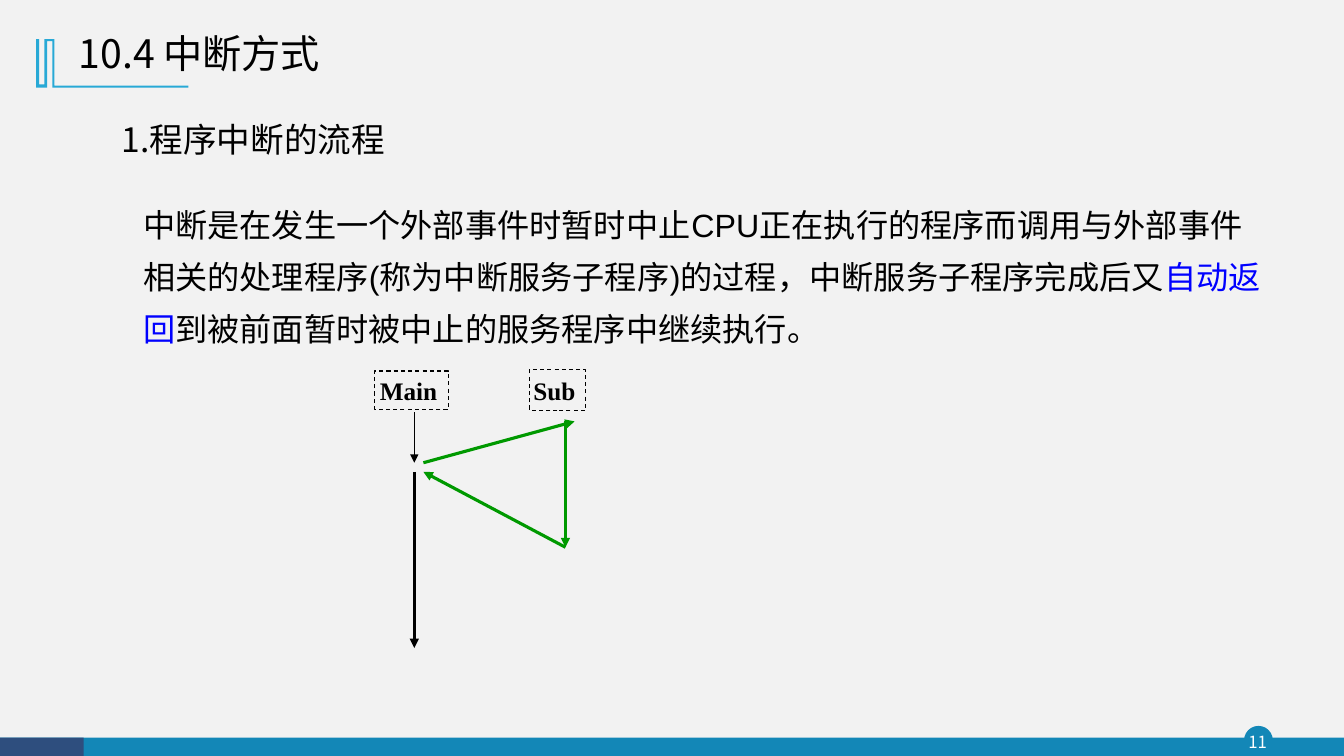
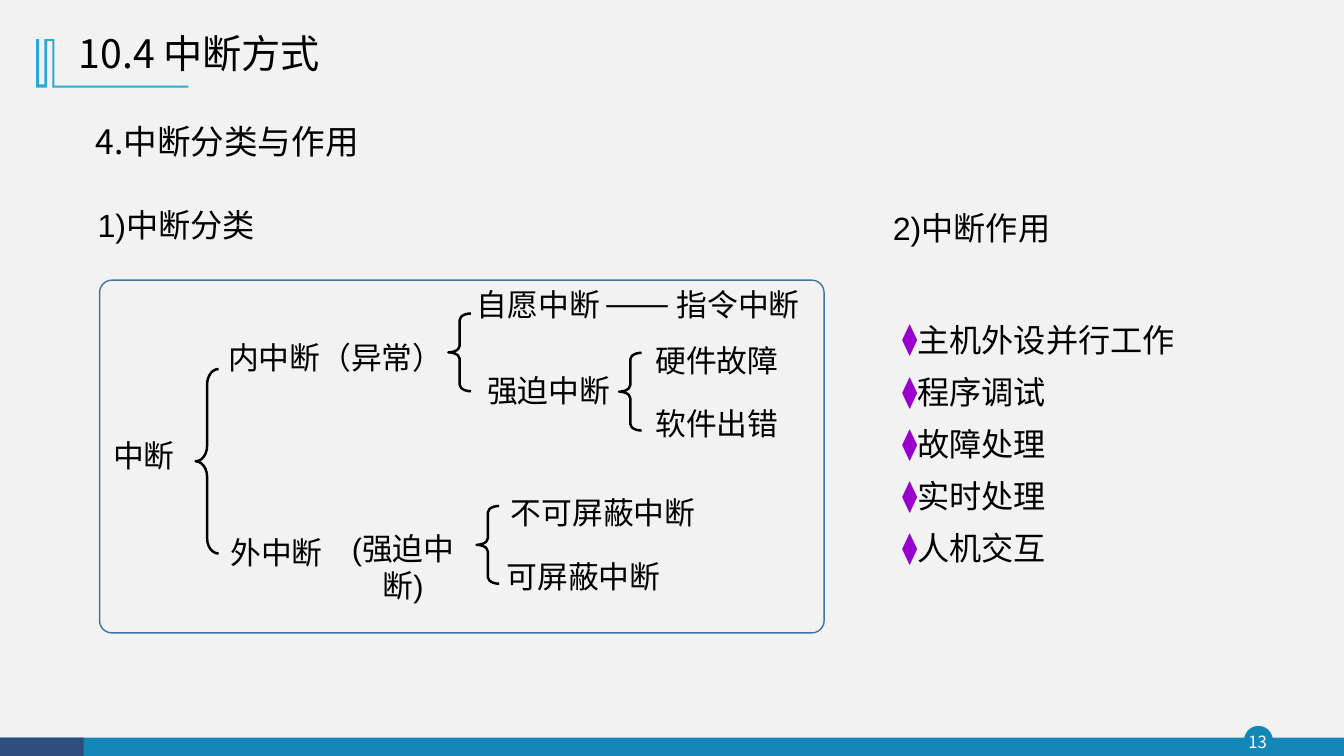
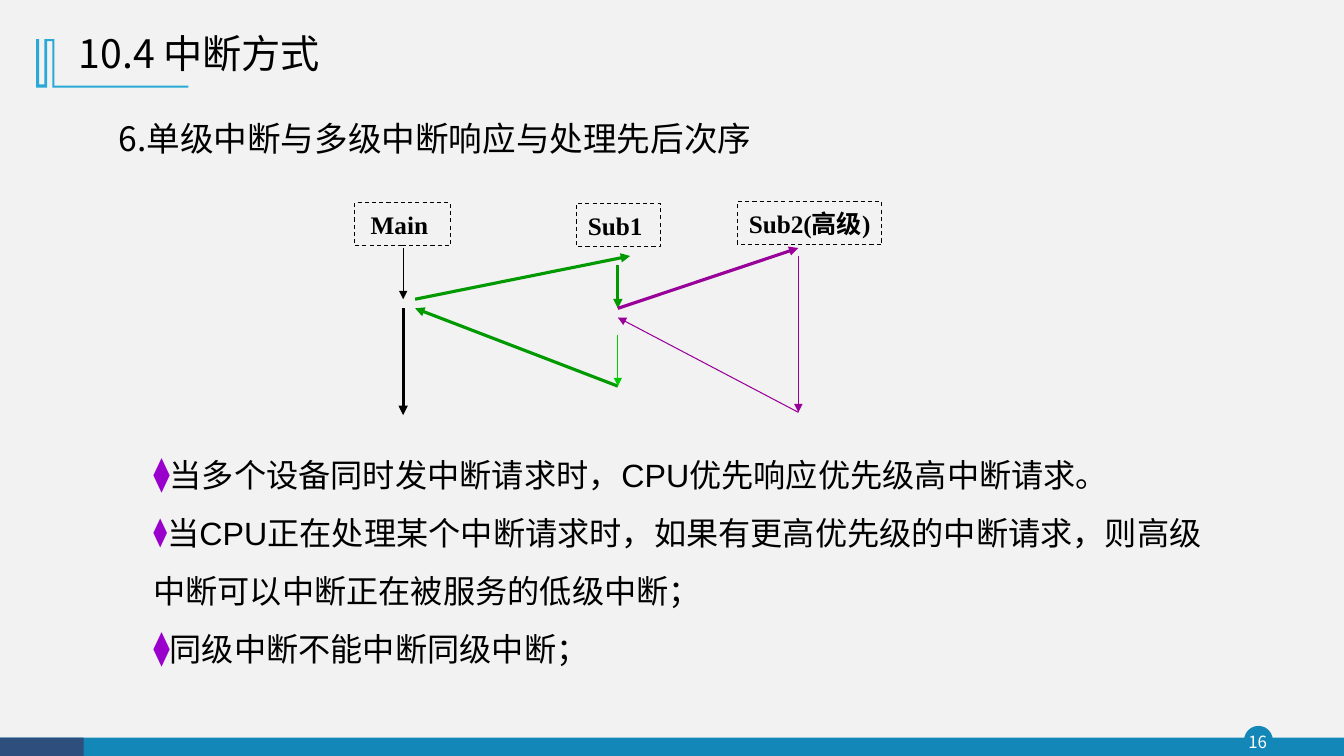
from dataclasses import dataclass
from typing import NamedTuple, Optional

from pptx import Presentation
from pptx.dml.color import RGBColor
from pptx.enum.dml import MSO_LINE
from pptx.enum.shapes import MSO_CONNECTOR, MSO_SHAPE
from pptx.enum.text import MSO_ANCHOR, MSO_AUTO_SIZE, PP_ALIGN
from pptx.oxml.ns import qn
from pptx.oxml.xmlchemy import OxmlElement
from pptx.util import Cm, Pt

RECT, OVAL = MSO_SHAPE.RECTANGLE, MSO_SHAPE.OVAL
ROUNDED, BRACE = MSO_SHAPE.ROUNDED_RECTANGLE, MSO_SHAPE.LEFT_BRACE
STRAIGHT, DASH = MSO_CONNECTOR.STRAIGHT, MSO_LINE.DASH
LEFT, CENTER = PP_ALIGN.LEFT, PP_ALIGN.CENTER
TOP, MIDDLE = MSO_ANCHOR.TOP, MSO_ANCHOR.MIDDLE


@dataclass(frozen=True)
class Theme:
    background: str = "F2F2F2"
    band: str = "1387B7"
    band_dark: str = "2E4E7E"
    title_mark: str = "28A9D6"
    panel: str = "43739E"
    text: str = "000000"
    page: str = "FFFFFF"
    keyword: str = "0000FF"
    bullet: str = "9900CC"
    sub: str = "009900"
    sub_rest: str = "00CC00"
    sub2: str = "990099"
    sans: str = "Arial"
    serif: str = "Times New Roman"
    cjk: str = "Noto Sans CJK SC"
    heading_font: str = "Noto Sans CJK JP"
    title_size: int = 28
    heading_size: int = 24
    body_size: int = 23
    label_size: int = 22
    box_size: int = 18
    page_size: int = 12
    thin: float = 0.75
    brace: float = 1.75
    thick: float = 2.25
    line_height: float = 1.2


T = Theme()


class Box(NamedTuple):
    left: float
    top: float
    width: float
    height: float


class Span(NamedTuple):
    text: str
    color: str = T.text


class Item(NamedTuple):
    spans: list[Span]
    bullet_pct: Optional[int] = None


@dataclass(frozen=True)
class Label:
    text: str
    left: float
    top: float
    width: float
    wrap: bool = False


@dataclass(frozen=True)
class Routine:
    name: str
    box: Box


@dataclass(frozen=True)
class Arrow:
    x1: float
    y1: float
    x2: float
    y2: float
    color: str = T.text
    width: float = T.thick


TITLE_BOX = Box(1.73, 0.53, 11.4, 1.73)
MARK = [(1.37, 0.99), (1.37, 2.16), (4.75, 2.16), (4.75, 2.21), (1.32, 2.21),
        (1.32, 1.04), (1.19, 1.04), (1.19, 2.21), (0.91, 2.21), (0.91, 0.99),
        (0.99, 0.99), (0.99, 2.13), (1.12, 2.13), (1.12, 0.99)]


def rgb(color: str) -> RGBColor:
    return RGBColor.from_string(color)


def cm(box: Box) -> list[Cm]:
    return [Cm(v) for v in box]


def place(sp, box: Box) -> None:
    sp.left, sp.top, sp.width, sp.height = cm(box)


def add_run(p, text: str, size: float, font: str, color: str = T.text, bold: bool = False) -> None:
    r = p.add_run()
    r.text = text
    r.font.size = Pt(size)
    r.font.bold = bold
    r.font.color.rgb = rgb(color)
    r.font.name = font
    ea = OxmlElement("a:ea")
    ea.set("typeface", T.cjk if font in (T.sans, T.serif) else font)
    r.font.name = font
    r._r.get_or_add_rPr().find(qn("a:latin")).addnext(ea)


def add_text(s, text: str, box: Box, size: float, font: str, color: str = T.text, align=LEFT,
             anchor=TOP, inset: bool = True, wrap: bool = True) -> None:
    tf = s.shapes.add_textbox(*cm(box)).text_frame
    tf.word_wrap = wrap
    tf.vertical_anchor = anchor
    if not inset:
        tf.margin_left = tf.margin_right = tf.margin_top = tf.margin_bottom = 0
    p = tf.paragraphs[0]
    p.alignment = align
    p.line_spacing = Pt(size * T.line_height)
    add_run(p, text, size, font, color)


def add_shape(s, kind, box: Box, fill: Optional[str] = None, line: Optional[str] = None,
              width: float = 1):
    sp = s.shapes.add_shape(kind, *cm(box))
    paint(sp, fill, line, width)
    return sp


def paint(sp, fill: Optional[str], line: Optional[str] = None, width: float = 1) -> None:
    sp.shadow.inherit = False
    if fill:
        sp.fill.solid()
        sp.fill.fore_color.rgb = rgb(fill)
    else:
        sp.fill.background()
    if line:
        sp.line.color.rgb = rgb(line)
        sp.line.width = Pt(width)
    else:
        sp.line.fill.background()


def add_routine(s, routine: Routine) -> None:
    sp = add_shape(s, RECT, routine.box, line=T.text, width=T.thin)
    sp.line.dash_style = DASH
    tf = sp.text_frame
    tf.word_wrap = False
    tf.vertical_anchor = MIDDLE
    p = tf.paragraphs[0]
    p.alignment = CENTER
    add_run(p, routine.name, T.box_size, T.serif, bold=True)


def add_arrow(s, arrow: Arrow) -> None:
    c = s.shapes.add_connector(STRAIGHT, Cm(arrow.x1), Cm(arrow.y1), Cm(arrow.x2), Cm(arrow.y2))
    c.line.color.rgb = rgb(arrow.color)
    c.line.width = Pt(arrow.width)
    tail = OxmlElement("a:tailEnd")
    tail.set("type", "triangle")
    props = c.element.spPr
    props.find(qn("a:ln")).append(tail)
    props.append(OxmlElement("a:effectLst"))


def add_flow(s, routines: list[Routine], arrows: list[Arrow]) -> None:
    for routine in routines:
        add_routine(s, routine)
    for arrow in arrows:
        add_arrow(s, arrow)


def set_bullet(p, pct: Optional[int]) -> None:
    props = p._p.get_or_add_pPr()
    props.set("marL", "0")
    props.set("indent", "0")
    if pct is None:
        props.append(OxmlElement("a:buNone"))
        return
    color = OxmlElement("a:buClr")
    value = OxmlElement("a:srgbClr")
    value.set("val", T.bullet)
    color.append(value)
    props.append(color)
    for tag, name, setting in (("a:buSzPct", "val", str(pct * 1000)),
                               ("a:buFont", "typeface", T.sans), ("a:buChar", "char", "⧫")):
        el = OxmlElement(tag)
        el.set(name, setting)
        props.append(el)


def fill_body(s, box: Box, items: list[Item], spacing: float) -> None:
    sp = s.placeholders[1]
    place(sp, box)
    tf = sp.text_frame
    tf.auto_size = MSO_AUTO_SIZE.NONE
    tf.word_wrap = True
    for i, item in enumerate(items):
        p = tf.add_paragraph() if i else tf.paragraphs[0]
        set_bullet(p, item.bullet_pct)
        p.alignment = LEFT
        p.space_before = Pt(0)
        p.line_spacing = Pt(round(T.body_size * T.line_height * spacing, 1))
        for span in item.spans:
            add_run(p, span.text, T.body_size, T.sans, span.color)


def decorate_layout(s) -> None:
    builder = s.shapes.build_freeform(Cm(MARK[0][0]), Cm(MARK[0][1]))
    builder.add_line_segments([(Cm(x), Cm(y)) for x, y in MARK[1:]], close=True)
    mark = builder.convert_to_shape()
    paint(mark, T.title_mark)
    frame = [add_shape(s, OVAL, Box(31.37, 18.31, 0.69, 0.69), T.band, T.band),
             add_shape(s, RECT, Box(0, 18.59, 33.87, 0.46), T.band),
             add_shape(s, RECT, Box(0, 18.59, 2.11, 0.46), T.band_dark), mark]
    for sp in frame:
        s.slide_layout.shapes.element.append(sp.element)


def new_slide(prs, page: int, heading: str, heading_box: Box):
    s = prs.slides.add_slide(prs.slide_layouts[1])
    place(s.shapes.title, TITLE_BOX)
    tf = s.shapes.title.text_frame
    tf.auto_size = MSO_AUTO_SIZE.NONE
    tf.vertical_anchor = MIDDLE
    p = tf.paragraphs[0]
    p.alignment = LEFT
    p.line_spacing = 0.9
    add_run(p, "10.4 中断方式", T.title_size, T.cjk)
    add_text(s, heading, heading_box, T.heading_size, T.heading_font)
    add_text(s, str(page), Box(31.29, 18.31, 0.81, 0.79), T.page_size, T.cjk, T.page,
             CENTER, MIDDLE, inset=False)
    return s


def interrupt_flow(prs) -> None:
    s = new_slide(prs, 11, "1.程序中断的流程", Box(2.82, 2.87, 9.65, 1.27))
    decorate_layout(s)
    fill_body(s, Box(3.35, 4.7, 28.93, 4.29), [Item([
        Span("中断是在发生一个外部事件时暂时中止CPU正在执行的程序而调用与外部事件相关的处理程序"
             "(称为中断服务子程序)的过程，中断服务子程序完成后又"),
        Span("自动返回", T.keyword),
        Span("到被前面暂时被中止的服务程序中继续执行。")])], 1.35)
    main_x, sub_x = 10.44, 14.25
    add_flow(s, [Routine("Main ", Box(9.45, 9.35, 1.85, 0.97)),
                 Routine("Sub ", Box(13.34, 9.32, 1.42, 1.02))],
             [Arrow(main_x, 10.39, main_x, 11.66, width=T.thin),
              Arrow(10.67, 11.66, 14.48, 10.62, T.sub),
              Arrow(sub_x, 10.62, sub_x, 13.79, T.sub),
              Arrow(sub_x, 13.79, 10.67, 11.89, T.sub),
              Arrow(main_x, 11.89, main_x, 16.33)])


def interrupt_classes(prs) -> None:
    s = new_slide(prs, 13, "4.中断分类与作用", Box(2.16, 2.92, 9.75, 1.27))
    for text, left, top in (("1)中断分类", 2.21, 5.05), ("2)中断作用", 22.25, 5.13)):
        add_text(s, text, Box(left, top, 5.18, 1.24), T.body_size, T.sans)
    panel = add_shape(s, ROUNDED, Box(2.51, 7.06, 18.26, 8.89), line=T.panel)
    panel.adjustments[0] = 0.035
    for box, curl in ((Box(4.93, 9.3, 0.58, 4.65), 0.67), (Box(11.3, 7.9, 0.57, 1.96), 0.29),
                      (Box(15.6, 8.89, 0.57, 1.96), 0.29), (Box(12.01, 12.75, 0.57, 1.96), 0.29)):
        brace = add_shape(s, BRACE, box, line=T.text, width=T.brace)
        brace.adjustments[0] = curl
    for label in (Label("中断", 2.84, 11, 1.57),
                  Label("内中断（异常）", 5.72, 8.53, 5.49),
                  Label("外中断", 5.79, 13.46, 2.36),
                  Label("(强迫中断)", 8.41, 13.36, 3.5, wrap=True),
                  Label("自愿中断", 12.01, 7.19, 3.12),
                  Label("——", 15.27, 7.14, 1.57),
                  Label("指令中断", 17.04, 7.19, 3.12),
                  Label("强迫中断", 12.27, 9.37, 3.12),
                  Label("硬件故障", 16.51, 8.61, 3.12),
                  Label("软件出错", 16.51, 10.21, 3.12),
                  Label("不可屏蔽中断", 12.85, 12.45, 4.7),
                  Label("可屏蔽中断", 12.75, 14.05, 3.91)):
        add_text(s, label.text, Box(label.left, label.top, label.width, 0.94), T.label_size,
                 T.sans, align=CENTER, inset=False, wrap=label.wrap)
    uses = ("主机外设并行工作", "程序调试", "故障处理", "实时处理", "人机交互")
    fill_body(s, Box(22.48, 7.59, 8, 7.11), [Item([Span(use)], 96) for use in uses], 1.35)


def interrupt_levels(prs) -> None:
    s = new_slide(prs, 16, "6.单级中断与多级中断响应与处理先后次序", Box(2.74, 2.84, 17.37, 1.27))
    main_x, return_x, sub_x, sub2_x = 10.16, 10.46, 15.57, 20.12
    add_flow(s, [Routine("Main ", Box(8.94, 5.11, 2.41, 1.09)),
                 Routine("Sub1 ", Box(14.53, 5.13, 2.11, 1.09)),
                 Routine("Sub2(高级)", Box(18.59, 5.08, 3.63, 1.09))],
             [Arrow(main_x, 6.25, main_x, 7.54, width=T.thin),
              Arrow(return_x, 7.54, 15.88, 6.45, T.sub),
              Arrow(sub_x, 9.73, return_x, 7.77, T.sub),
              Arrow(main_x, 7.77, main_x, 10.46),
              Arrow(sub_x, 6.68, sub_x, 7.77, T.sub),
              Arrow(sub_x, 7.77, sub2_x, 6.25, T.sub2),
              Arrow(sub2_x, 6.45, sub2_x, 10.39, T.sub2, T.thin),
              Arrow(sub2_x, 10.39, sub_x, 8, T.sub2, T.thin),
              Arrow(sub_x, 8.43, sub_x, 9.73, T.sub_rest, T.thin)])
    fill_body(s, Box(3.61, 10.85, 27.58, 6.27), [
        Item([Span("当多个设备同时发中断请求时，CPU优先响应优先级高中断请求。")], 104),
        Item([Span("当CPU正在处理某个中断请求时，如果有更高优先级的中断请求，"
                   "则高级中断可以中断正在被服务的低级中断；")], 87),
        Item([Span("同级中断不能中断同级中断；")], 104)], 1.5)


def main() -> None:
    prs = Presentation()
    prs.slide_width, prs.slide_height = Cm(33.87), Cm(19.05)
    fill = prs.slide_master.background.fill
    fill.solid()
    fill.fore_color.rgb = rgb(T.background)
    interrupt_flow(prs)
    interrupt_classes(prs)
    interrupt_levels(prs)
    prs.save("out.pptx")


if __name__ == "__main__":
    main()
